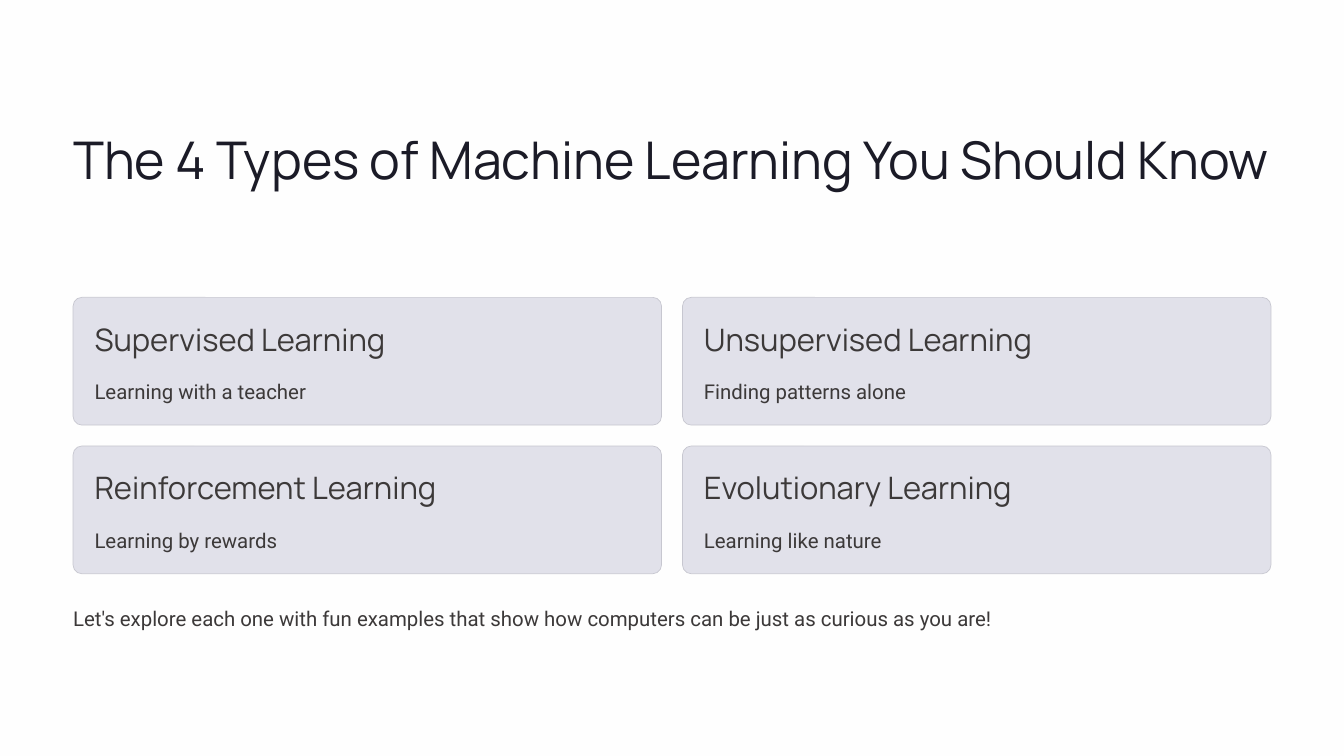
from pptx import Presentation
from pptx.dml.color import RGBColor
from pptx.enum.shapes import MSO_SHAPE
from pptx.enum.text import MSO_ANCHOR, MSO_AUTO_SIZE, PP_ALIGN
from pptx.util import Inches, Pt

ROUND = MSO_SHAPE.ROUNDED_RECTANGLE
TOP = MSO_ANCHOR.TOP
FIXED = MSO_AUTO_SIZE.NONE
LEFT = PP_ALIGN.LEFT

PAPER = RGBColor(0xFE, 0xFE, 0xFE)
INK = RGBColor(0x1B, 0x1B, 0x27)
GREY = RGBColor(0x3C, 0x39, 0x39)
PANEL = RGBColor(0xE1, 0xE1, 0xEA)
EDGE = RGBColor(0xC7, 0xC7, 0xD0)

HEAD = "Manrope"
BODY = "Roboto"

CARDS = [
    ("Supervised Learning", "Learning with a teacher"),
    ("Unsupervised Learning", "Finding patterns alone"),
    ("Reinforcement Learning", "Learning by rewards"),
    ("Evolutionary Learning", "Learning like nature"),
]


def write(shape, text, font, size, lead, color, wrap=False):
    """Fill a shape with one line of text, flush to its box."""
    frame = shape.text_frame
    frame.margin_left = frame.margin_right = 0
    frame.margin_top = frame.margin_bottom = 0
    frame.auto_size = FIXED
    frame.word_wrap = wrap
    frame.vertical_anchor = TOP
    para = frame.paragraphs[0]
    para.alignment = LEFT
    para.line_spacing = Pt(lead)
    run = para.add_run()
    run.text = text
    run.font.name = font
    run.font.size = Pt(size)
    run.font.color.rgb = color


def add_text(slide, left, top, width, height, *style):
    box = slide.shapes.add_textbox(
        Inches(left), Inches(top), Inches(width), Inches(height))
    write(box, *style)


def add_title(slide, left, top, width, height):
    title = slide.shapes.title
    title.left, title.top = Inches(left), Inches(top)
    title.width, title.height = Inches(width), Inches(height)
    write(title, "The 4 Types of Machine Learning You Should Know",
          HEAD, 44.5, 55.5, INK, True)


def add_card(slide, left, top, width, height, name, note):
    # Panel
    panel = slide.shapes.add_shape(
        ROUND, Inches(left), Inches(top), Inches(width), Inches(height))
    panel.shadow.inherit = False
    panel.adjustments[0] = 0.068
    panel.fill.solid()
    panel.fill.fore_color.rgb = PANEL
    panel.line.color.rgb = EDGE
    panel.line.width = Pt(0.6)
    # Name and note
    pad = 0.255
    inner = width - 2 * pad
    add_text(slide, left + pad, top + pad, inner, 0.47,
             name, HEAD, 26.5, 33, GREY)
    add_text(slide, left + pad, top + 0.87, inner, 0.4,
             note, BODY, 17.5, 28.5, GREY)


def add_grid(slide, left, top, width, height, gap=0.25, cols=2):
    rows = len(CARDS) // cols
    wide = (width - gap * (cols - 1)) / cols
    high = (height - gap * (rows - 1)) / rows
    for i, (name, note) in enumerate(CARDS):
        row, col = divmod(i, cols)
        add_card(slide, left + col * (wide + gap), top + row * (high + gap),
                 wide, high, name, note)


def main():
    deck = Presentation()
    deck.slide_width, deck.slide_height = Inches(16), Inches(9)
    slide = deck.slides.add_slide(deck.slide_layouts[5])
    slide.background.fill.solid()
    slide.background.fill.fore_color.rgb = PAPER

    left, width = 0.87, 14.26
    add_title(slide, left, 1.49, width, 1.55)
    add_grid(slide, left, 3.54, width, 3.29)
    # Closing line
    add_text(slide, left, 7.11, width, 0.4,
             "Let's explore each one with fun examples that show how "
             "computers can be just as curious as you are!",
             BODY, 17.5, 28.5, GREY)
    deck.save("out.pptx")


if __name__ == "__main__":
    main()
